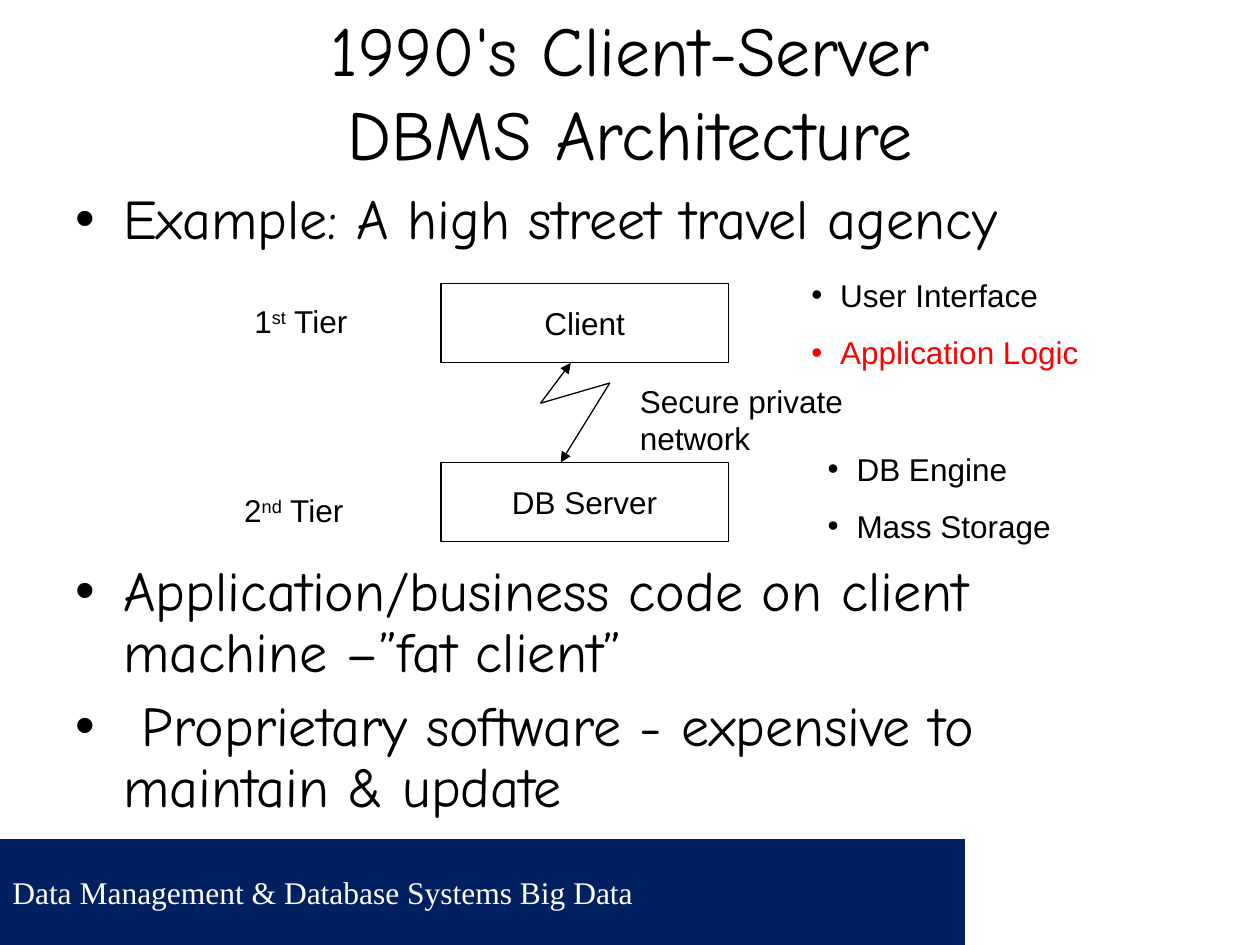
from typing import NamedTuple

from lxml.etree import SubElement
from pptx import Presentation
from pptx.dml.color import RGBColor
from pptx.enum.shapes import MSO_CONNECTOR, MSO_SHAPE
from pptx.enum.text import MSO_ANCHOR, MSO_AUTO_SIZE, PP_ALIGN
from pptx.oxml.ns import qn
from pptx.util import Inches, Pt

BLACK = RGBColor(0, 0, 0)
WHITE = RGBColor(255, 255, 255)
RED = RGBColor(255, 0, 0)
NAVY = RGBColor(0, 0x20, 0x60)
HEADING_FONT = "Comic Neue"
LABEL_FONT = "Arial"
FOOTER_FONT = "Times New Roman"


class Box(NamedTuple):
    left: float
    top: float
    width: float
    height: float

    def emu(self) -> list:
        return [Inches(v) for v in self]


class Item(NamedTuple):
    text: str
    before: float = 0
    color: RGBColor = BLACK


class Tier(NamedTuple):
    number: str
    suffix: str
    label_box: Box
    component: str
    component_top: float
    duties_box: Box
    duties: list


class Link(NamedTuple):
    start: tuple
    end: tuple
    arrow: bool


TIERS = [
    Tier("1", "st", Box(1.92, 2.35, 0.95, 0.4), "Client", 2.25,
         Box(6.34, 2.14, 2.68, 0.86),
         [Item("User Interface"), Item("Application Logic", 11.2, RED)]),
    Tier("2", "nd", Box(1.84, 3.85, 1, 0.4), "DB Server", 3.67,
         Box(6.47, 3.52, 2.44, 0.86),
         [Item("DB Engine"), Item("Mass Storage", 11.2)]),
]
LINKS = [
    Link((4.29, 3.2), (4.53, 2.88), True),
    Link((4.29, 3.2), (4.84, 3.04), False),
    Link((4.84, 3.04), (4.45, 3.67), True),
]
POINTS = [
    Item("Example: A high street travel agency"),
    Item("Application/business code on client machine –”fat client”", 178),
    Item(" Proprietary software - expensive to maintain & update", 8),
]


def style(p, font: str, size: float, color: RGBColor = BLACK) -> None:
    for r in p.runs:
        r.font.name = font
        r.font.size = Pt(size)
        r.font.color.rgb = color


def add_rect(s, box: Box, fill: RGBColor, outlined: bool = False):
    sp = s.shapes.add_shape(MSO_SHAPE.RECTANGLE, *box.emu())
    sp.shadow.inherit = False
    sp.fill.solid()
    sp.fill.fore_color.rgb = fill
    if outlined:
        sp.line.color.rgb = BLACK
        sp.line.width = Pt(0.75)
    else:
        sp.line.fill.background()
    return sp


def set_text(sp, text: str, font: str, size: float, color: RGBColor,
             align: PP_ALIGN) -> None:
    tf = sp.text_frame
    tf.text = text
    tf.vertical_anchor = MSO_ANCHOR.MIDDLE
    for p in tf.paragraphs:
        p.alignment = align
        style(p, font, size, color)


def add_label(s, box: Box, parts: list):
    sp = s.shapes.add_textbox(*box.emu())
    tf = sp.text_frame
    tf.word_wrap = False
    p = tf.paragraphs[0]
    for text, baseline in parts:
        r = p.add_run()
        r.text = text
        if baseline:
            r._r.get_or_add_rPr().set("baseline", str(baseline))
    style(p, LABEL_FONT, 18)


def add_bullet(p, indent: float, color: RGBColor) -> None:
    pPr = p._p.get_or_add_pPr()
    pPr.set("marL", str(Inches(indent)))
    pPr.set("indent", str(-Inches(indent)))
    bu_clr = SubElement(pPr, qn("a:buClr"))
    SubElement(bu_clr, qn("a:srgbClr"), val=str(color))
    SubElement(pPr, qn("a:buFont"), typeface="Arial")
    SubElement(pPr, qn("a:buChar"), char="•")


def add_list(s, box: Box, items: list, font: str, size: float,
             indent: float, spacing: float = 1.0) -> None:
    tf = s.shapes.add_textbox(*box.emu()).text_frame
    tf.word_wrap = True
    for i, item in enumerate(items):
        p = tf.paragraphs[0] if i == 0 else tf.add_paragraph()
        p.text = item.text
        add_bullet(p, indent, item.color)
        p.line_spacing = spacing
        p.space_before = Pt(item.before)
        style(p, font, size, item.color)


def add_link(s, link: Link) -> None:
    ends = [Inches(v) for v in link.start + link.end]
    line = s.shapes.add_connector(MSO_CONNECTOR.STRAIGHT, *ends)
    line.line.color.rgb = BLACK
    line.line.width = Pt(0.75)
    if link.arrow:
        SubElement(line.line._get_or_add_ln(), qn("a:tailEnd"), type="triangle")
    SubElement(line._element.spPr, qn("a:effectLst"))


def add_tier(s, tier: Tier) -> None:
    sp = add_rect(s, Box(3.5, tier.component_top, 2.28, 0.63), WHITE, True)
    set_text(sp, tier.component, LABEL_FONT, 18, BLACK, PP_ALIGN.CENTER)
    add_label(s, tier.label_box,
              [(tier.number, 0), (tier.suffix, 30000), (" Tier", 0)])
    add_list(s, tier.duties_box, tier.duties, LABEL_FONT, 18, 0.23)


def main() -> None:
    prs = Presentation()
    prs.slide_width, prs.slide_height = Inches(10), Inches(7.5)
    s = prs.slides.add_slide(prs.slide_layouts[5])

    footer = add_rect(s, Box(0, 6.66, 10, 0.84), NAVY)
    set_text(footer, "Data Management & Database Systems Big Data",
             FOOTER_FONT, 18, WHITE, PP_ALIGN.LEFT)
    add_rect(s, Box(7.66, 6.66, 2.34, 0.84), WHITE)

    title = s.shapes.title
    title.left, title.top, title.width, title.height = Box(0, 0.21, 10, 1.02).emu()
    set_text(title, "1990's Client-Server\vDBMS Architecture",
             HEADING_FONT, 40, BLACK, PP_ALIGN.CENTER)
    title.text_frame.auto_size = MSO_AUTO_SIZE.NONE

    add_list(s, Box(0.5, 1.47, 9, 5.23), POINTS, HEADING_FONT, 32, 0.38, 0.9)
    for tier in TIERS:
        add_tier(s, tier)
    for link in LINKS:
        add_link(s, link)
    add_label(s, Box(4.98, 2.98, 2.75, 0.4), [("Secure private network", 0)])

    prs.save("out.pptx")


if __name__ == "__main__":
    main()
